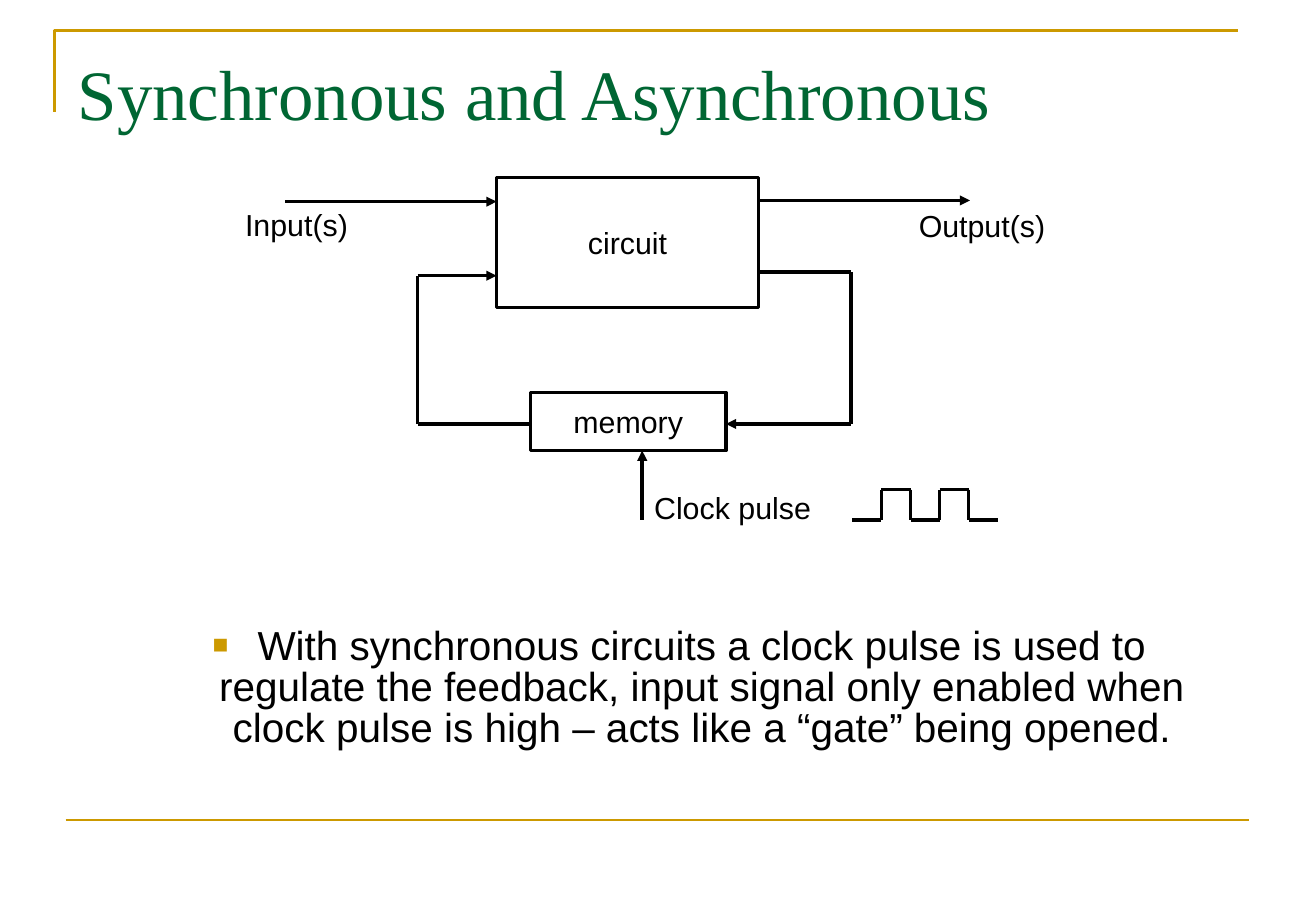
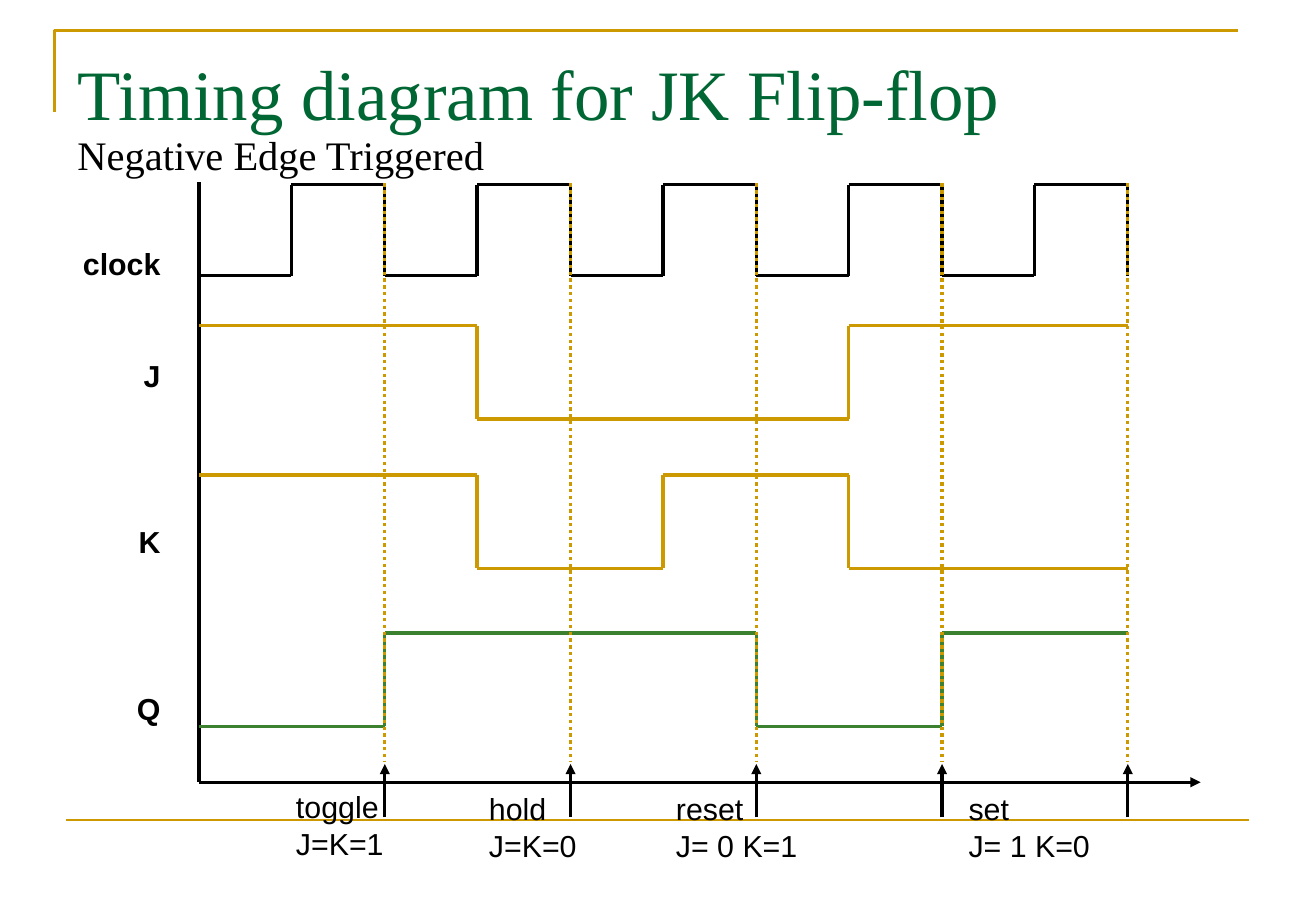
from itertools import groupby

from lxml import etree
from pptx import Presentation
from pptx import util as u
from pptx.dml.color import RGBColor
from pptx.enum import dml, shapes, text
from pptx.oxml.ns import qn

PX = 9144  # 100 px to the inch
INK = {"paper": "FFFFFF", "black": "000000", "gold": "CC9900",
       "title": "006633", "green": "3B812F"}
SANS, SERIF = "Arial", "Times New Roman"
LEFT, MID, RIGHT = (text.PP_ALIGN.LEFT, text.PP_ALIGN.CENTER,
                    text.PP_ALIGN.RIGHT)


def px(n):
    return u.Emu(n * PX)


def rgb(name):
    return RGBColor.from_string(INK[name])


def place(shape, box):
    shape.left, shape.top, shape.width, shape.height = map(px, box)


def write(para, words, size=18, font=SANS, ink="black", bold=False,
          align=LEFT):
    para.alignment = align
    run = para.add_run()
    run.text = words
    run.font.size = u.Pt(size)
    run.font.name = font
    run.font.bold = bold
    run.font.color.rgb = rgb(ink)


def stroke(line, ink, width=2):
    line.color.rgb = rgb(ink)
    line.width = u.Pt(width)


def wire(slide, start, end, ink="black", width=2, arrow=False, dots=False):
    """Draw a straight line, with an arrowhead at its end if asked."""
    link = slide.shapes.add_connector(
        shapes.MSO_CONNECTOR.STRAIGHT, *map(px, start + end))
    stroke(link.line, ink, width)
    if dots:
        link.line.dash_style = dml.MSO_LINE.ROUND_DOT
    props = link.element.spPr
    if arrow:
        etree.SubElement(props.find(qn("a:ln")), qn("a:tailEnd"),
                         type="triangle")
    etree.SubElement(props, qn("a:effectLst"))
    return link


def route(slide, points, arrow=False):
    """Join points by lines; the last line may carry an arrowhead."""
    last = len(points) - 2
    for i, (start, end) in enumerate(zip(points, points[1:])):
        wire(slide, start, end, arrow=arrow and i == last)


def wave(slide, box, levels, ink="black"):
    """Draw a square wave from a string of 0 and 1, one for each step."""
    left, top, width, height = box
    at, prior = 0, None
    for level, group in groupby(levels):
        stop = at + len(list(group))
        x, end = (left + width * i // len(levels) for i in (at, stop))
        y = top if level == "1" else top + height
        if prior is not None:
            wire(slide, (x, prior), (x, y), ink)
        wire(slide, (x, y), (end, y), ink)
        at, prior = stop, y


def label(slide, box, *lines, **style):
    frame = slide.shapes.add_textbox(*map(px, box)).text_frame
    frame.word_wrap = True
    for i, words in enumerate(lines):
        para = frame.add_paragraph() if i else frame.paragraphs[0]
        write(para, words, **style)


def block(slide, box, words):
    shape = slide.shapes.add_shape(shapes.MSO_SHAPE.RECTANGLE, *map(px, box))
    shape.shadow.inherit = False
    shape.fill.solid()
    shape.fill.fore_color.rgb = rgb("paper")
    stroke(shape.line, "black")
    frame = shape.text_frame
    frame.vertical_anchor = text.MSO_ANCHOR.MIDDLE
    write(frame.paragraphs[0], words, align=MID)


def trim(slide, master):
    """Draw the gold rules and move them to the master."""
    path = slide.shapes.build_freeform(45, 92, scale=PX)
    path.add_line_segments([(45, 25), (1020, 25)], close=False)
    corner = path.convert_to_shape()
    corner.shadow.inherit = False
    corner.fill.background()
    stroke(corner.line, "gold", 1.5)
    rule = wire(slide, (54, 675), (1029, 675), "gold", 1.5)
    for num, part in enumerate((corner, rule), 100):
        part.element.xpath("./*/p:cNvPr")[0].set("id", str(num))
        master.shapes.element.append(part.element)


def head(slide, words):
    title = slide.shapes.title
    place(title, (54, 30, 975, 125))
    frame = title.text_frame
    frame.auto_size = text.MSO_AUTO_SIZE.NONE
    frame.vertical_anchor = text.MSO_ANCHOR.TOP
    frame.margin_top = px(11)
    write(frame.paragraphs[0], words, 42, SERIF, "title")


def note(slide, box, words):
    """Fill the body placeholder with one centred bullet."""
    body = slide.placeholders[1]
    place(body, box)
    frame = body.text_frame
    frame.auto_size = text.MSO_AUTO_SIZE.NONE
    para = frame.paragraphs[0]
    write(para, words, 24, align=MID)
    para.line_spacing = 0.84
    props = para._p.get_or_add_pPr()
    props.set("marL", str(px(47)))
    props.set("indent", str(px(-37)))
    tint = etree.SubElement(props, qn("a:buClr"))
    etree.SubElement(tint, qn("a:srgbClr"), val=INK["gold"])
    etree.SubElement(props, qn("a:buSzPct"), val="65000")
    etree.SubElement(props, qn("a:buFont"), typeface=SANS)
    etree.SubElement(props, qn("a:buChar"), char="■")


def loop(slide, left, top):
    """Draw the circuit with its clocked feedback through the memory."""
    def at(x, y):
        return left + x, top + y

    block(slide, at(217, 0) + (216, 107), "circuit")
    block(slide, at(245, 177) + (161, 48), "memory")
    routes = [
        [(43, 20), (217, 20)],
        [(433, 19), (607, 19)],
        [(433, 78), (509, 78), (509, 203), (406, 203)],
        [(245, 203), (152, 203), (152, 81), (217, 81)],
        [(337, 282), (337, 225)],
    ]
    for points in routes:
        route(slide, [at(*p) for p in points], arrow=True)
    for x, y, width, words in [(0, 19, 125, "Input(s)"),
                               (555, 20, 140, "Output(s)"),
                               (337, 252, 154, "Clock pulse")]:
        label(slide, at(x, y) + (width, 40), words)
    wave(slide, at(510, 257) + (120, 25), "01010")


def chart(slide, left, top, width):
    """Draw the signals over ten half periods, with falling edges marked."""
    base = top + 494
    wire(slide, (left, top), (left, base))
    wire(slide, (left, base), (left + width + 60, base), arrow=True)

    signals = [
        ("clock", 47, 2, 75, "0101010101", "black"),
        ("J", 139, 118, 77, "1110000111", "gold"),
        ("K", 276, 241, 77, "1110011000", "gold"),
        ("Q", 413, 371, 77, "0011110011", "green"),
    ]
    for name, drop, high, tall, levels, ink in signals:
        label(slide, (left - 107, top + drop, 85, 40), name,
              bold=True, align=RIGHT)
        wave(slide, (left, top + high, width, tall), levels, ink)
    end = left + width
    wire(slide, (end, top + 2), (end, top + 77))

    for i in range(1, 6):
        x = left + width * i // 5
        wire(slide, (x, top + 1), (x, base - 17), "gold", dots=True)
        wire(slide, (x, base + 29), (x, base - 15), arrow=True)

    modes = [(70, 0, "toggle", "J=K=1"), (229, 2, "hold", "J=K=0"),
             (383, 2, "reset", "J= 0 K=1"), (624, 2, "set", "J= 1 K=0")]
    for x, y, name, rule in modes:
        label(slide, (left + x, base + y, 130, 70), name, rule)


def main():
    deck = Presentation()
    deck.slide_width, deck.slide_height = px(1084), px(750)

    sync = deck.slides.add_slide(deck.slide_layouts[1])
    trim(sync, deck.slide_master)
    head(sync, "Synchronous and Asynchronous")
    note(sync, (107, 512, 895, 110),
         "With synchronous circuits a clock pulse is used to regulate the "
         "feedback, input signal only enabled when clock pulse is high – "
         "acts like a “gate” being opened.")
    loop(sync, 192, 146)

    timing = deck.slides.add_slide(deck.slide_layouts[5])
    head(timing, "Timing diagram for JK Flip-flop")
    label(timing, (54, 102, 380, 50), "Negative Edge Triggered",
          size=24, font=SERIF)
    chart(timing, 164, 150, 765)

    deck.save("out.pptx")


if __name__ == "__main__":
    main()
